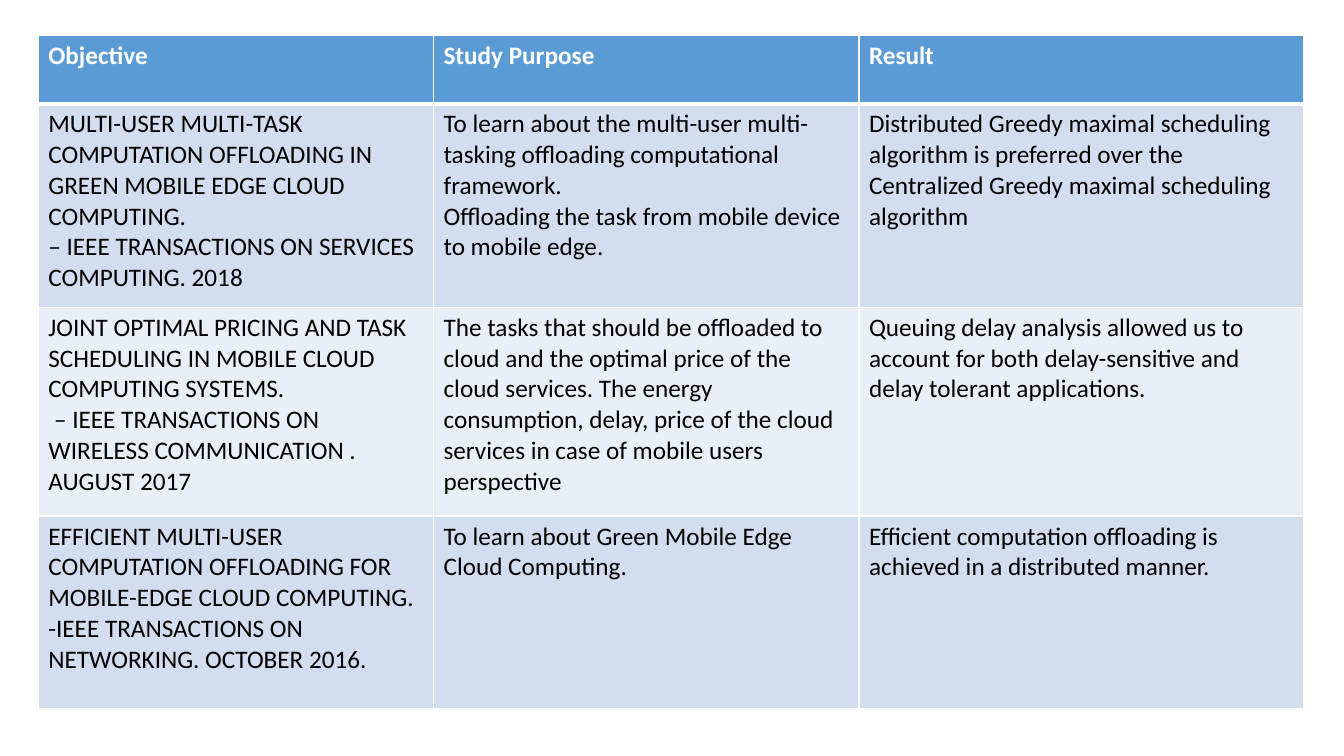
from dataclasses import dataclass

from lxml.etree import SubElement
from pptx import Presentation
from pptx.dml.color import RGBColor
from pptx.oxml import parse_xml
from pptx.oxml.ns import nsdecls
from pptx.util import Inches, Pt


@dataclass(frozen=True)
class Theme:
    """Colours, type and line widths of the slide."""
    font: str = "Calibri"
    size: int = 18
    header_fill: str = "5B9BD5"
    header_text: str = "FFFFFF"
    body_fills: tuple = ("D2DEEF", "EAEFF7")
    body_text: str = "000000"
    rule: str = "FFFFFF"
    thin: int = 1
    thick: int = 3


THEME = Theme()
COLUMN_WIDTHS = (3.92, 4.22, 4.41)
ROW_HEIGHTS = (0.68, 2.02, 2.07, 1.91)
STUDIES = (
    ("Objective", "Study Purpose", "Result"),
    (
        "MULTI-USER MULTI-TASK COMPUTATION OFFLOADING IN GREEN MOBILE EDGE CLOUD COMPUTING.\n"
        "– IEEE TRANSACTIONS ON SERVICES COMPUTING. 2018",
        "To learn about the multi-user multi-tasking offloading computational framework.\n"
        "Offloading the task from mobile device to mobile edge.",
        "Distributed Greedy maximal scheduling algorithm is preferred over the "
        "Centralized Greedy maximal scheduling algorithm",
    ),
    (
        "JOINT OPTIMAL PRICING AND TASK SCHEDULING IN MOBILE CLOUD COMPUTING SYSTEMS.\n"
        " – IEEE TRANSACTIONS ON WIRELESS COMMUNICATION . AUGUST 2017",
        "The tasks that should be offloaded to cloud and the optimal price of the cloud "
        "services. The energy consumption, delay, price of the cloud services in case of "
        "mobile users perspective",
        "Queuing delay analysis allowed us to account for both delay-sensitive and "
        "delay tolerant applications.",
    ),
    (
        "EFFICIENT MULTI-USER COMPUTATION OFFLOADING FOR MOBILE-EDGE CLOUD COMPUTING.\n"
        "-IEEE TRANSACTIONS ON NETWORKING. OCTOBER 2016.",
        "To learn about Green Mobile Edge Cloud Computing.",
        "Efficient computation offloading is achieved in a distributed manner.",
    ),
)


def set_borders(cell, widths):
    """Draw the left, right, top and bottom rules of a cell."""
    properties = cell._tc.get_or_add_tcPr()
    for position, (side, width) in enumerate(zip("LRTB", widths)):
        line = parse_xml(f'<a:ln{side} {nsdecls("a")} w="{Pt(width)}"/>')
        namespace = "{" + line.nsmap["a"] + "}"
        fill = SubElement(line, namespace + "solidFill")
        SubElement(fill, namespace + "srgbClr", val=THEME.rule)
        properties.insert(position, line)


def style_cell(cell, text, row):
    """Fill one cell with text and give it the look of its row."""
    is_header = row == 0
    cell.text_frame.text = text
    for para in cell.text_frame.paragraphs:
        for span in para.runs:
            span.font.name = THEME.font
            span.font.size = Pt(THEME.size)
            span.font.bold = is_header
            color = THEME.header_text if is_header else THEME.body_text
            span.font.color.rgb = RGBColor.from_string(color)
    fill = THEME.header_fill if is_header else THEME.body_fills[(row - 1) % 2]
    cell.fill.solid()
    cell.fill.fore_color.rgb = RGBColor.from_string(fill)
    top = THEME.thick if row == 1 else THEME.thin
    bottom = THEME.thick if is_header else THEME.thin
    set_borders(cell, (THEME.thin, THEME.thin, top, bottom))


def add_study_table(page, box):
    """Place the literature table in the box, sharing out its width and height."""
    left, top, width, height = box
    frame = page.shapes.add_table(
        len(STUDIES), len(COLUMN_WIDTHS),
        Inches(left), Inches(top), Inches(width), Inches(height))
    table = frame.table
    for column, share in zip(table.columns, COLUMN_WIDTHS):
        column.width = Inches(width * share / sum(COLUMN_WIDTHS))
    for row, share in zip(table.rows, ROW_HEIGHTS):
        row.height = Inches(height * share / sum(ROW_HEIGHTS))
    for row, study in enumerate(STUDIES):
        for column, text in enumerate(study):
            style_cell(table.cell(row, column), text, row)


def build_deck():
    """Make the deck with its single literature slide."""
    deck = Presentation()
    deck.slide_width, deck.slide_height = Inches(13.33), Inches(7.5)
    page = deck.slides.add_slide(deck.slide_layouts[6])
    add_study_table(page, (0.38, 0.35, 12.55, 6.68))
    return deck


build_deck().save("out.pptx")
